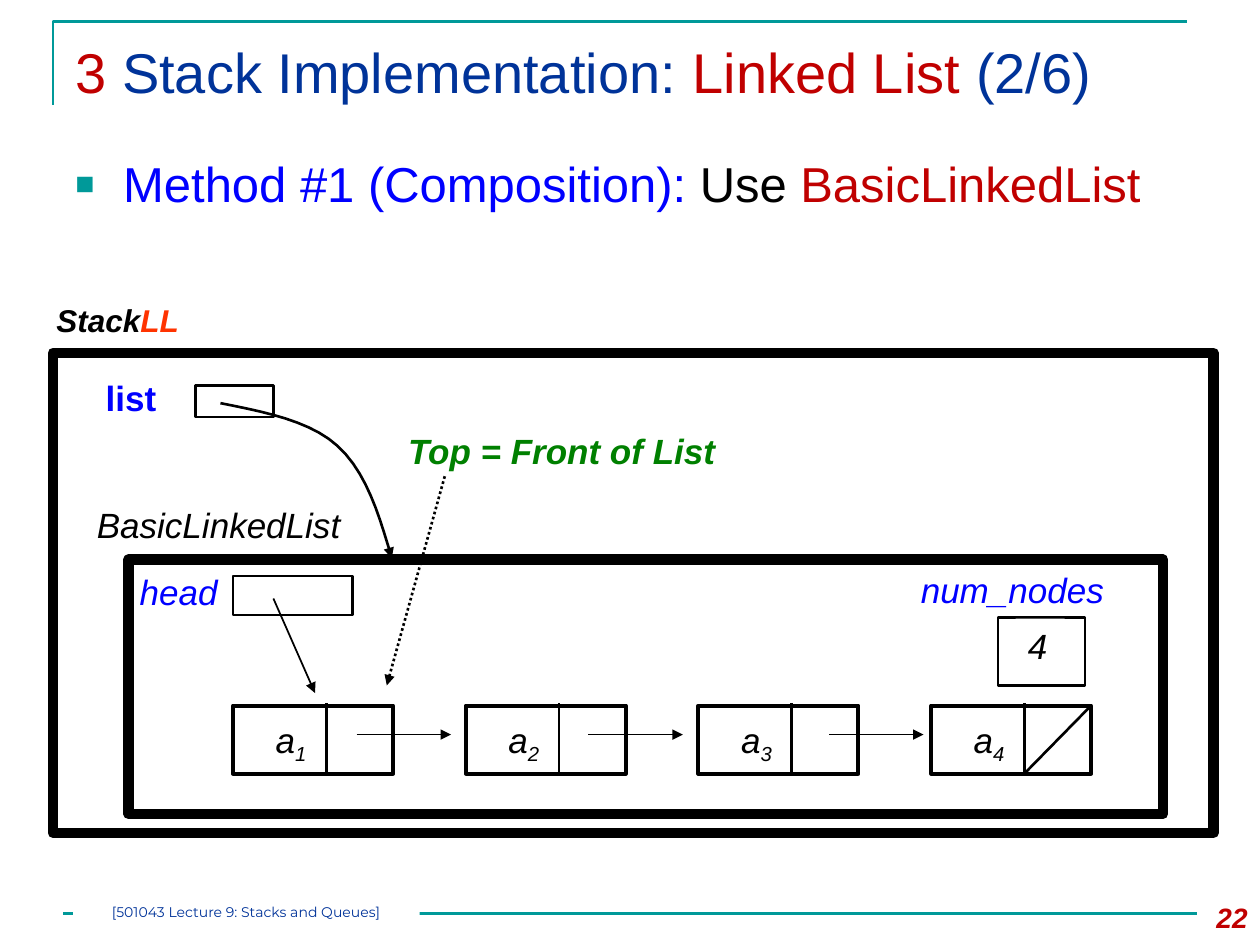
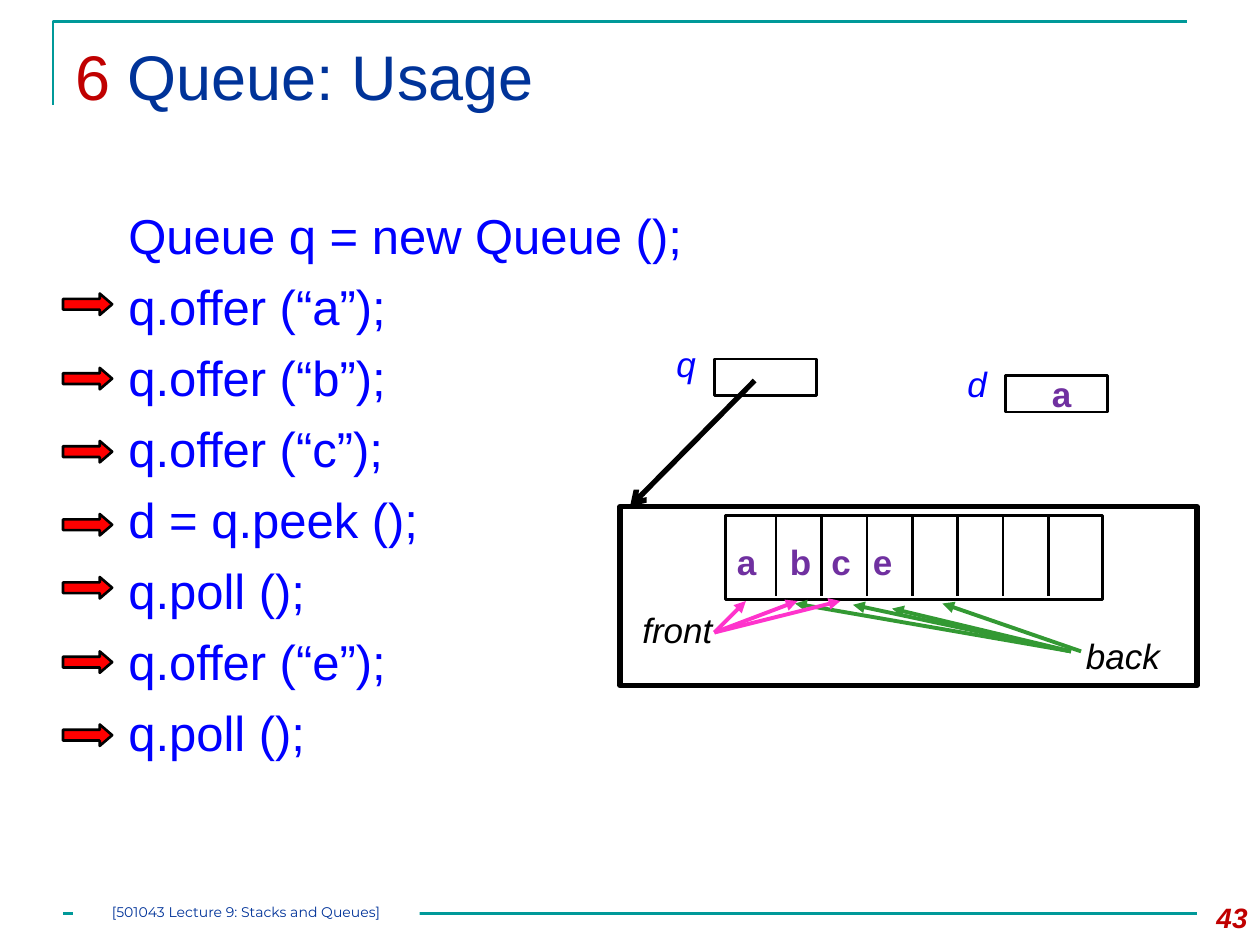
from lxml import etree
from pptx import Presentation
from pptx import util as u
from pptx.dml.color import RGBColor
from pptx.enum import dml, shapes, text
from pptx.oxml.ns import qn

TEAL = RGBColor(0x00, 0x99, 0x99)
NAVY = RGBColor(0x00, 0x33, 0x99)
DARK_RED = RGBColor(0xC0, 0x00, 0x00)
BLUE = RGBColor(0x00, 0x00, 0xFF)
BLACK = RGBColor(0x00, 0x00, 0x00)
WHITE = RGBColor(0xFF, 0xFF, 0xFF)
DARK_GREEN = RGBColor(0x00, 0x80, 0x00)
ORANGE = RGBColor(0xFF, 0x33, 0x00)
PURPLE = RGBColor(0x70, 0x30, 0xA0)
RED = RGBColor(0xFF, 0x00, 0x00)
PINK = RGBColor(0xFF, 0x33, 0xCC)
GREEN = RGBColor(0x33, 0x99, 0x33)

FOOTER = "[501043 Lecture 9: Stacks and Queues]"

LINKED_LIST_TITLE = [("3 ", DARK_RED), ("Stack Implementation: ", NAVY),
                     ("Linked List ", DARK_RED), ("(2/6)", NAVY)]
METHOD = [("Method #1 (Composition): ", BLUE), ("Use ", BLACK),
          ("BasicLinkedList", DARK_RED)]
NODE_COUNT = 4
NODE_FIRST, NODE_LAST = 1.85, 7.39
NODE_LINKS = [2.83, 4.67, 6.58]
STACK_FRAMES = [
    ((7.92, 4.9, 0.69, 0.54), 1.5),
    ((0.42, 2.8, 9.21, 3.81), 6),
    ((1.55, 3.06, 0.62, 0.25), 1.5),
    ((1.85, 4.57, 0.95, 0.31), 1.5),
    ((1.02, 4.44, 8.21, 2.02), 6),
]
LIST_CURVE = [
    [(1.75, 3.2), (2.1, 3.27), (2.46, 3.34), (2.68, 3.54)],
    [(2.68, 3.54), (2.91, 3.75), (3.01, 4.09), (3.11, 4.43)],
]
CURVE_STEPS = 10

QUEUE_TITLE = [("6 ", DARK_RED), ("Queue: Usage", NAVY)]
QUEUE_CODE = ["Queue q = new Queue ();", "q.offer (“a”);", "q.offer (“b”);",
              "q.offer (“c”);", "d = q.peek ();", "q.poll ();",
              "q.offer (“e”);", "q.poll ();"]
STEP_ARROW_TOPS = [2.33, 2.92, 3.5, 4.08, 4.58, 5.17, 5.75]
QUEUE_FRAMES = [
    ((4.92, 4.02, 4.58, 1.42), 3),
    ((5.67, 2.85, 0.81, 0.29), 1.5),
    ((5.76, 4.09, 2.99, 0.67), 1.5),
    ((7.98, 2.98, 0.81, 0.29), 1.5),
]
QUEUE_NAMES = [("q", (5.27, 2.67, 0.36, 0.43), BLUE),
               ("d", (7.58, 2.83, 0.36, 0.43), BLUE),
               ("front", (5, 4.78, 0.76, 0.43), BLACK),
               ("back", (8.52, 4.99, 0.79, 0.43), BLACK)]
QUEUE_ITEMS = [("a", (5.75, 4.24, 0.36, 0.43)), ("b", (6.17, 4.24, 0.25, 0.43)),
               ("c", (6.5, 4.24, 0.3, 0.43)), ("e", (6.83, 4.24, 0.33, 0.43)),
               ("a", (8.25, 2.91, 0.36, 0.43))]
CELL_COUNT, CELL_FIRST, CELL_WIDTH = 8, 6.16, 0.36
POINTERS = [
    ((5.67, 5.02), (5.92, 4.77), PINK),
    ((8.5, 5.17), (6.31, 4.79), GREEN),
    ((8.5, 5.17), (6.77, 4.8), GREEN),
    ((8.5, 5.17), (7.08, 4.83), GREEN),
    ((5.67, 5.02), (6.33, 4.77), PINK),
    ((8.58, 5.17), (7.48, 4.79), GREEN),
    ((5.67, 5.02), (6.67, 4.77), PINK),
]


def inches(values):
    return [u.Inches(value) for value in values]


def add_runs(paragraph, runs, size, bold=False, italic=False, font="Arial"):
    for words, color in runs:
        run = paragraph.add_run()
        run.text = words
        run.font.name = font
        run.font.size = u.Pt(size)
        run.font.bold = bold
        run.font.italic = italic
        run.font.color.rgb = color


def add_text(slide, at, runs, size=20, wrap=True, grow=False, fill=None, **style):
    shape = slide.shapes.add_textbox(*inches(at))
    frame = shape.text_frame
    frame.word_wrap = wrap
    frame.auto_size = (text.MSO_AUTO_SIZE.SHAPE_TO_FIT_TEXT if grow
                       else text.MSO_AUTO_SIZE.NONE)
    if fill is not None:
        shape.fill.solid()
        shape.fill.fore_color.rgb = fill
    add_runs(frame.paragraphs[0], runs, size, **style)
    return shape


def add_label(slide, words, at, color=BLACK, wrap=False, italic=True, **style):
    return add_text(slide, at, [(words, color)], wrap=wrap, grow=True,
                    italic=italic, **style)


def add_box(slide, at, width, kind=shapes.MSO_SHAPE.RECTANGLE, fill=None):
    shape = slide.shapes.add_shape(kind, *inches(at))
    shape.shadow.inherit = False
    if fill is None:
        shape.fill.background()
    else:
        shape.fill.solid()
        shape.fill.fore_color.rgb = fill
    shape.line.color.rgb = BLACK
    shape.line.width = u.Pt(width)
    return shape


def add_head(shape, head):
    line = shape._element.spPr.find(qn("a:ln"))
    etree.SubElement(line, qn("a:tailEnd")).set("type", head)


def add_line(slide, start, end, width=1.5, color=BLACK, head=None, dash=None):
    connector = slide.shapes.add_connector(
        shapes.MSO_CONNECTOR.STRAIGHT, *inches(start + end))
    connector.line.color.rgb = color
    connector.line.width = u.Pt(width)
    if dash is not None:
        connector.line.dash_style = dash
    if head:
        add_head(connector, head)
    etree.SubElement(connector._element.spPr, qn("a:effectLst"))


def add_outline(slide, points, color=BLACK, width=1.5):
    places = [tuple(inches(point)) for point in points]
    builder = slide.shapes.build_freeform(*places[0])
    builder.add_line_segments(places[1:], close=False)
    shape = builder.convert_to_shape()
    shape.shadow.inherit = False
    shape.fill.background()
    shape.line.color.rgb = color
    shape.line.width = u.Pt(width)
    return shape


def curve_points(curve):
    points = [curve[0][0]]
    for controls in curve:
        for step in range(1, CURVE_STEPS + 1):
            t = step / CURVE_STEPS
            weights = ((1 - t) ** 3, 3 * t * (1 - t) ** 2, 3 * t * t * (1 - t), t ** 3)
            points.append(tuple(sum(weight * point[axis] for weight, point
                                    in zip(weights, controls)) for axis in (0, 1)))
    return points


def start_slide(presentation, title, title_size, number):
    slide = presentation.slides.add_slide(presentation.slide_layouts[6])
    add_outline(slide, [(0.42, 0.83), (0.42, 0.17), (9.42, 0.17)], TEAL)
    add_line(slide, (0.5, 7.25), (9.5, 7.25), color=TEAL, width=2)
    add_text(slide, (0.5, 0.25, 9, 0.86), title, title_size)
    page = add_text(slide, (9.33, 7.1, 0.67, 0.4), [(number, DARK_RED)], 16,
                    bold=True, italic=True)
    page.text_frame.paragraphs[0].alignment = text.PP_ALIGN.RIGHT
    footer = add_text(slide, (0.58, 7.17, 2.75, 0.17), [(FOOTER, NAVY)], 8,
                      fill=WHITE, font="Montserrat")
    frame = footer.text_frame
    frame.margin_left = frame.margin_right = frame.margin_top = frame.margin_bottom = 0
    frame.paragraphs[0].alignment = text.PP_ALIGN.CENTER
    return slide


def add_bullet(paragraph):
    properties = paragraph._p.get_or_add_pPr()
    properties.set("marL", str(u.Inches(0.38)))
    properties.set("indent", str(-u.Inches(0.38)))
    color = etree.SubElement(properties, qn("a:buClr"))
    etree.SubElement(color, qn("a:srgbClr")).set("val", str(TEAL))
    etree.SubElement(properties, qn("a:buSzPct")).set("val", "65000")
    etree.SubElement(properties, qn("a:buFont")).set("typeface", "Arial")
    etree.SubElement(properties, qn("a:buChar")).set("char", "■")


def add_node(slide, index):
    left = NODE_FIRST + index * (NODE_LAST - NODE_FIRST) / (NODE_COUNT - 1)
    divider = left + 0.74
    add_box(slide, (left, 5.6, 1.27, 0.54), 2.25)
    add_line(slide, (divider, 5.58), (divider, 6.13))
    label = add_text(slide, (left + 0.24, 5.65, 0.46, 0.43),
                     [("a", BLACK), (str(index + 1), BLACK)],
                     wrap=False, grow=True, italic=True)
    subscript = label.text_frame.paragraphs[0].runs[1]
    subscript._r.get_or_add_rPr().set("baseline", "-25000")
    if index == NODE_COUNT - 1:
        add_line(slide, (left + 1.26, 5.61), (divider, 6.14))


def build_linked_list(presentation):
    slide = start_slide(presentation, LINKED_LIST_TITLE, 32, "22")
    method = add_text(slide, (0.5, 1.17, 9, 0.75), METHOD, 28)
    add_bullet(method.text_frame.paragraphs[0])
    add_label(slide, "num_nodes", (7.21, 4.46, 1.8, 0.44), BLUE, wrap=True, fill=WHITE)
    for at, width in STACK_FRAMES:
        add_box(slide, at, width)
    add_label(slide, "Top = Front of List", (3.14, 3.36, 2.66, 0.44), DARK_GREEN,
              bold=True)
    add_line(slide, (3.53, 3.78), (3.07, 5.44), head="triangle",
             dash=dml.MSO_LINE.ROUND_DOT)
    add_text(slide, (0.35, 2.34, 1.5, 0.5), [("Stack", BLACK), ("LL", ORANGE)], 18,
             bold=True, italic=True)
    add_label(slide, "list", (0.74, 2.94, 0.6, 0.43), BLUE, bold=True, italic=False)
    add_label(slide, "head", (1.01, 4.48, 0.82, 0.43), BLUE)
    add_label(slide, "BasicLinkedList", (0.67, 3.95, 2.15, 0.44))
    add_label(slide, str(NODE_COUNT), (8.06, 4.91, 0.39, 0.44), wrap=True, fill=WHITE)
    for index in range(NODE_COUNT):
        add_node(slide, index)
    add_head(add_outline(slide, curve_points(LIST_CURVE)), "triangle")
    for left in NODE_LINKS:
        add_line(slide, (left, 5.83), (left + 0.75, 5.83), 1, head="triangle")
    add_line(slide, (2.17, 4.75), (2.5, 5.5), 1, head="triangle")


def build_queue_usage(presentation):
    slide = start_slide(presentation, QUEUE_TITLE, 36, "43")
    code = add_text(slide, (0.92, 1.58, 4.75, 4.67), [(QUEUE_CODE[0], BLUE)], 28)
    for statement in QUEUE_CODE[1:]:
        paragraph = code.text_frame.add_paragraph()
        paragraph.space_before = u.Pt(7)
        add_runs(paragraph, [(statement, BLUE)], 28)
    for at, width in QUEUE_FRAMES:
        add_box(slide, at, width)
    for index in range(CELL_COUNT - 1):
        x = CELL_FIRST + index * CELL_WIDTH
        add_line(slide, (x, 4.09), (x, 4.73))
    add_line(slide, (5.99, 3.02), (5, 4.02), 3, head="arrow")
    for name, at, color in QUEUE_NAMES:
        add_label(slide, name, at, color)
    for item, at in QUEUE_ITEMS:
        add_label(slide, item, at, PURPLE, wrap=True, italic=False, bold=True)
    for top in STEP_ARROW_TOPS:
        arrow = add_box(slide, (0.5, top, 0.39, 0.17), 1.5,
                        shapes.MSO_SHAPE.RIGHT_ARROW, RED)
        arrow.adjustments[1] = 0.58
    for start, end, color in POINTERS:
        add_line(slide, start, end, 2.25, color, "triangle")


def main():
    presentation = Presentation()
    presentation.slide_width = u.Inches(10)
    presentation.slide_height = u.Inches(7.5)
    build_linked_list(presentation)
    build_queue_usage(presentation)
    presentation.save("out.pptx")


if __name__ == "__main__":
    main()
